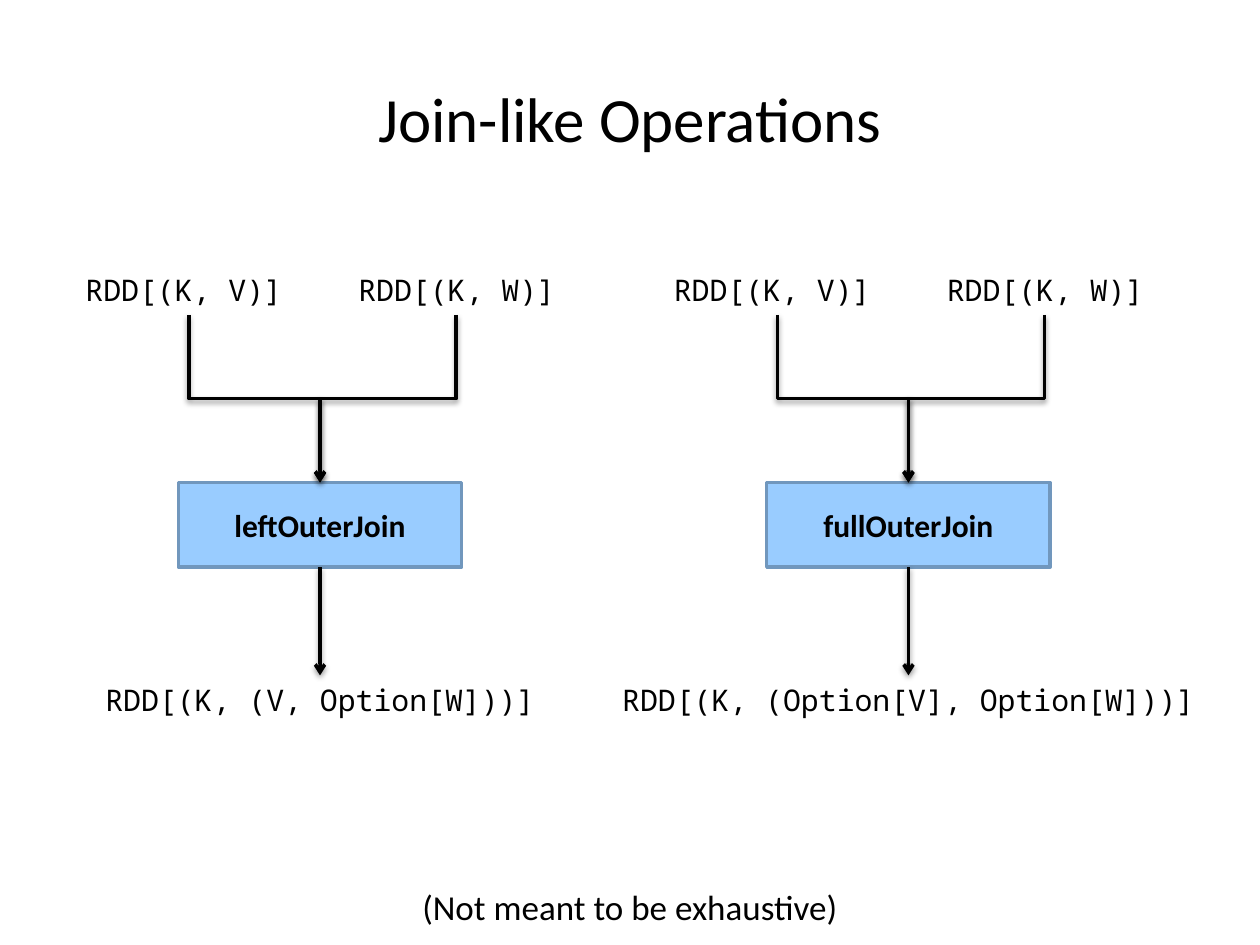
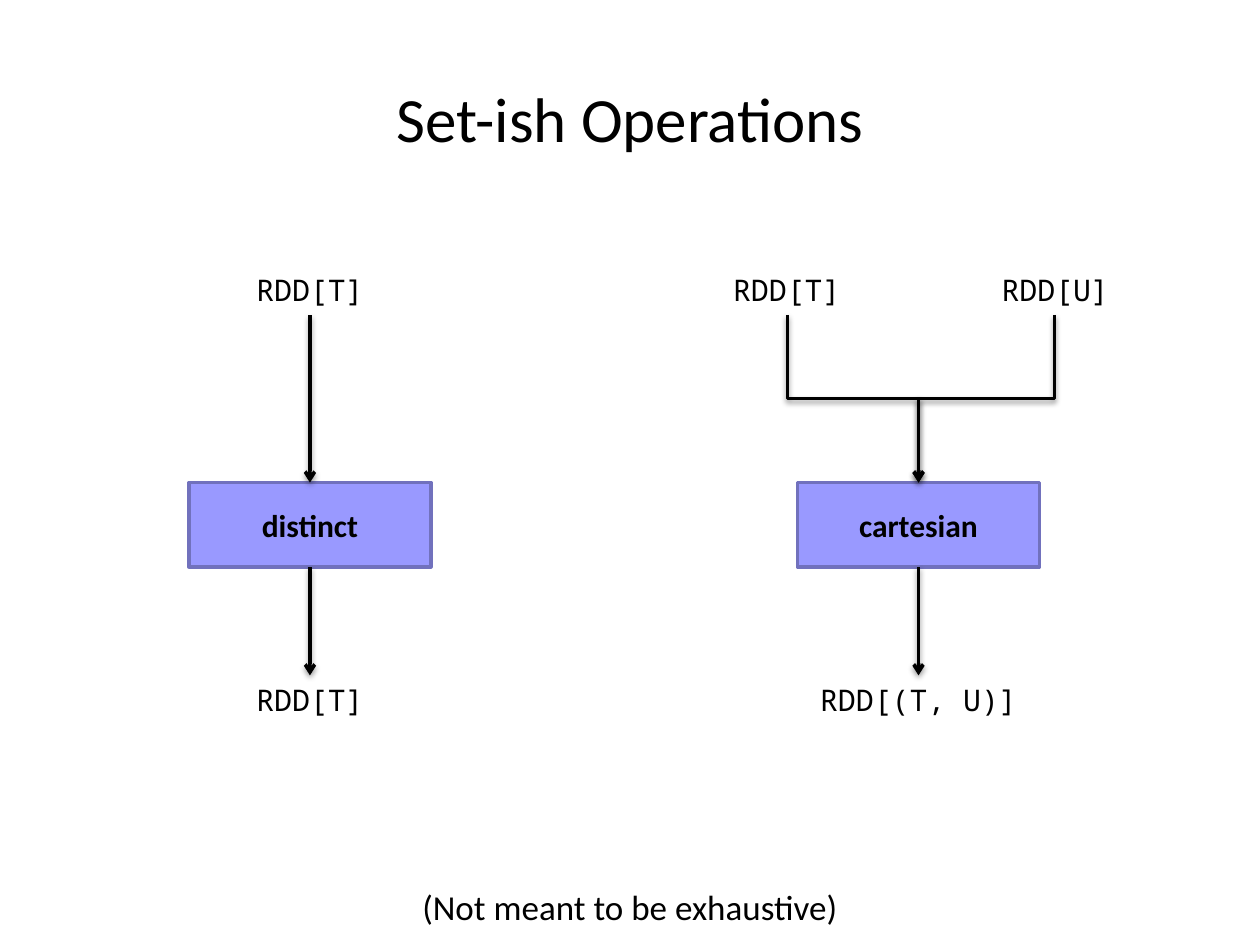
"""Build two slides that diagram RDD join and set operations."""
import pptx
import pptx.dml.color
import pptx.enum.shapes
import pptx.enum.text
import pptx.oxml
import pptx.oxml.ns
import pptx.util
from pptx.util import Inches

COLORS = {
    "text": "000000",
    "join": "99CCFF", "join_line": "7197BD",
    "set": "9999FF", "set_line": "7171BD",
}
SANS, MONO = "Calibri", "Noto Sans Mono"
LEFT = pptx.enum.text.PP_ALIGN.LEFT
CENTER = pptx.enum.text.PP_ALIGN.CENTER
INPUT_Y, INPUT_BOTTOM, BOX_Y, BOX_H, OUTPUT_Y = 2.11, 2.5, 3.83, 0.67, 5.36
LABEL_H = 0.39
SHADOW = (
    '<a:effectLst %s><a:outerShdw blurRad="40000" dist="20000" dir="5400000" '
    'rotWithShape="0"><a:srgbClr val="%s"><a:alpha val="38000"/></a:srgbClr>'
    '</a:outerShdw></a:effectLst>' % (pptx.oxml.ns.nsdecls("a"), COLORS["text"])
)


def rgb(name):
    """Return the named colour."""
    return pptx.dml.color.RGBColor.from_string(COLORS[name])


class Deck:
    """Hold the presentation, its style and the current slide."""

    def __init__(self):
        """Start an empty 10 by 7.5 inch presentation."""
        self.prs = pptx.Presentation()
        self.prs.slide_width, self.prs.slide_height = Inches(10), Inches(7.5)

    def slide(self, title):
        """Add a slide with its title and footnote."""
        self.s = self.prs.slides.add_slide(self.prs.slide_layouts[6])
        self.text(title, 0, 0.58, 10, 0.75, SANS, 36, grow=False)
        self.text("(Not meant to be exhaustive)", 0, 6.98, 10, 0.44, SANS, 20)

    def run(self, sp, text, font, size, align=CENTER, bold=False):
        """Add one run of text to a shape."""
        p = sp.text_frame.paragraphs[0]
        p.alignment = align
        r = p.add_run()
        r.text = text
        r.font.name, r.font.size, r.font.bold = font, pptx.util.Pt(size), bold
        r.font.color.rgb = rgb("text")

    def text(self, text, x, y, w, h, font=MONO, size=17, align=CENTER, grow=True):
        """Add a text box."""
        sp = self.s.shapes.add_textbox(Inches(x), Inches(y), Inches(w), Inches(h))
        tf = sp.text_frame
        tf.word_wrap = True
        if grow:
            tf.auto_size = pptx.enum.text.MSO_AUTO_SIZE.SHAPE_TO_FIT_TEXT
        self.run(sp, text, font, size, align)
        return sp

    def box(self, text, cx, w, kind):
        """Add an operation box centred on cx."""
        sp = self.s.shapes.add_shape(
            pptx.enum.shapes.MSO_SHAPE.RECTANGLE,
            Inches(cx - w / 2), Inches(BOX_Y), Inches(w), Inches(BOX_H))
        sp.shadow.inherit = False
        sp.fill.solid()
        sp.fill.fore_color.rgb = rgb(kind)
        sp.line.color.rgb = rgb(kind + "_line")
        sp.line.width = pptx.util.Pt(2)
        sp.text_frame.vertical_anchor = pptx.enum.text.MSO_ANCHOR.MIDDLE
        self.run(sp, text, SANS, 18, bold=True)
        return sp

    def connector(self, kind, x1, y1, x2, y2):
        """Add a shadowed connector with an arrowhead."""
        c = self.s.shapes.add_connector(
            kind, Inches(x1), Inches(y1), Inches(x2), Inches(y2))
        c.line.color.rgb = rgb("text")
        c.line.width = pptx.util.Pt(2)
        props = c._element.spPr
        props.find(pptx.oxml.ns.qn("a:ln")).append(pptx.oxml.parse_xml(
            '<a:tailEnd %s type="arrow"/>' % pptx.oxml.ns.nsdecls("a")))
        props.append(pptx.oxml.parse_xml(SHADOW))
        return c

    def arrow(self, cx, top, bottom):
        """Join two stacked shapes with a straight arrow."""
        c = self.connector(pptx.enum.shapes.MSO_CONNECTOR.STRAIGHT,
                           cx, INPUT_BOTTOM, cx, BOX_Y)
        c.begin_connect(top, 2)
        c.end_connect(bottom, 0)

    def elbow(self, x, cx):
        """Add an arrow that goes down, across and down to the box."""
        length, span = BOX_Y - INPUT_BOTTOM, abs(cx - x)
        mx, my = (x + cx) / 2, (INPUT_BOTTOM + BOX_Y) / 2
        c = self.connector(pptx.enum.shapes.MSO_CONNECTOR.ELBOW,
                           mx - length / 2, my - span / 2,
                           mx + length / 2, my + span / 2)
        xfrm = c._element.spPr.find(pptx.oxml.ns.qn("a:xfrm"))
        xfrm.set("rot", str((270 if x < cx else 90) * 60000))
        if x < cx:
            xfrm.set("flipH", "1")

    def operation(self, name, cx, kind, box_w, inputs, output, output_w, align=CENTER):
        """Draw the inputs, box and output of one operation."""
        box = self.box(name, cx, box_w, kind)
        result = self.text(output, cx - output_w / 2, OUTPUT_Y, output_w, LABEL_H)
        if len(inputs) == 1:
            source = self.text(inputs[0], cx - 0.92, INPUT_Y, 1.84, LABEL_H)
            self.arrow(cx, source, box)
        else:
            self.text(inputs[0], cx - 1.96, INPUT_Y, 1.83, LABEL_H, align=align)
            self.text(inputs[1], cx - 0.04, INPUT_Y, 2.25, LABEL_H)
            for x in (cx - 1.04, cx + 1.08):
                self.elbow(x, cx)
        self.arrow(cx, box, result)


def main():
    """Build and save both slides."""
    d = Deck()
    pair = ["RDD[(K, V)]", "RDD[(K, W)]"]
    d.slide("Join-like Operations")
    d.operation("leftOuterJoin", 2.54, "join", 2.25, pair,
                "RDD[(K, (V, Option[W]))]", 4.08, LEFT)
    d.operation("fullOuterJoin", 7.21, "join", 2.25, pair,
                "RDD[(K, (Option[V], Option[W]))]", 5.08, LEFT)
    d.slide("Set-ish Operations")
    d.operation("distinct", 2.46, "set", 1.92, ["RDD[T]"], "RDD[T]", 4.08)
    d.operation("cartesian", 7.29, "set", 1.92, ["RDD[T]", "RDD[U]"],
                "RDD[(T, U)]", 5.08)
    d.prs.save("out.pptx")


if __name__ == "__main__":
    main()
